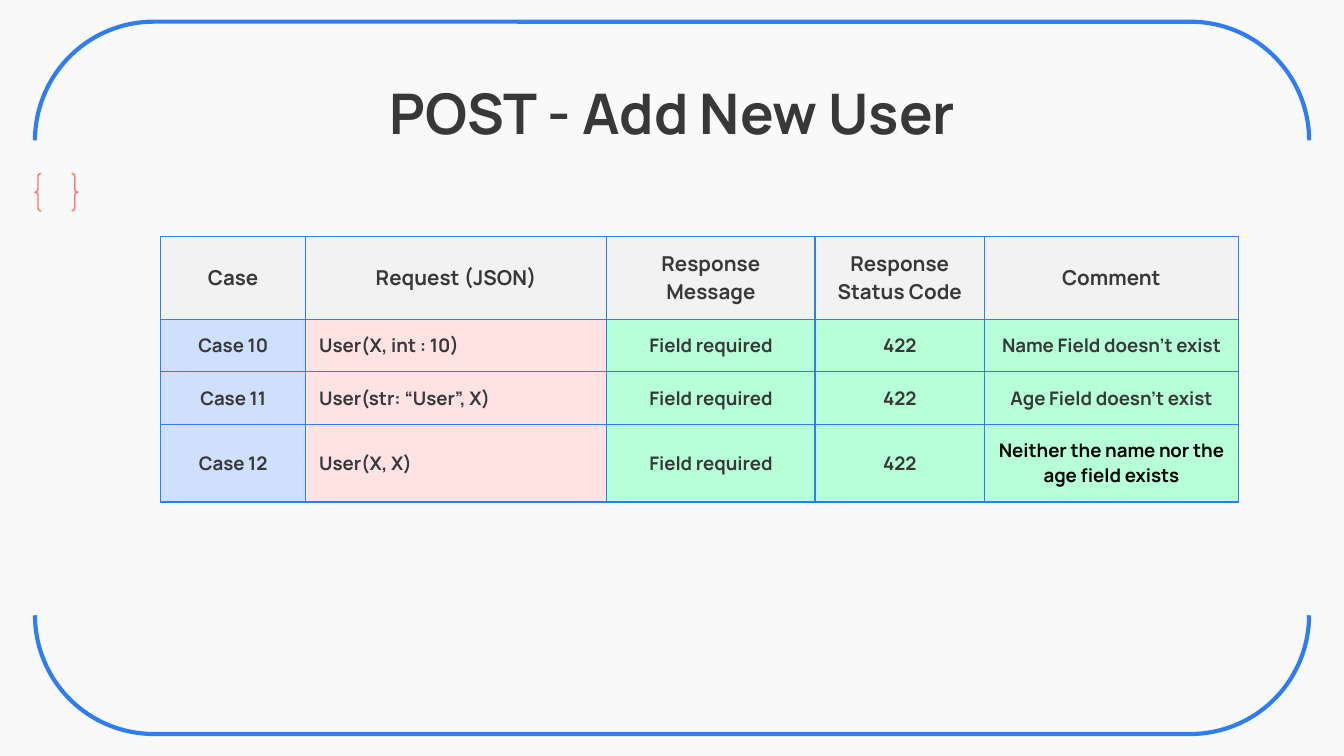
from lxml.etree import SubElement
from pptx import Presentation
from pptx.dml.color import RGBColor
from pptx.enum.shapes import MSO_SHAPE
from pptx.enum.text import MSO_ANCHOR, MSO_AUTO_SIZE, PP_ALIGN
from pptx.oxml.ns import qn
from pptx.util import Inches, Pt

COLUMNS = 100
HEADER = ["Case", "Request (JSON)", "Response Message", "Response Status Code", "Comment"]
CASES = [
    ["Case 10", "User(X, int : 10)", "Field required", "422", "Name Field doesn't exist"],
    ["Case 11", "User(str: “User”, X)", "Field required", "422", "Age Field doesn't exist"],
    ["Case 12", "User(X, X)", "Field required", "422", "Neither the name nor the age field exists"],
]
COL_WIDTHS = [10.8, 22.4, 15.5, 12.6, 18.9]
ROW_HEIGHTS = [6.2, 3.8, 3.8, 5.8]
CASE_FILLS = ["CEE0FC", "FFE3E3"] + ["B7FFD8"] * 3


def rgb(value):
    return RGBColor.from_string(value)


def write(tf, text, size=10, color="383838", bold=True, font="Manrope", align=PP_ALIGN.CENTER):
    p = tf.paragraphs[0]
    p.alignment = align
    r = p.add_run()
    r.text = text
    r.font.name = font
    r.font.size = Pt(size)
    r.font.bold = bold
    r.font.color.rgb = rgb(color)


class Deck:
    blue = "2E7DF4"
    coral = "FF6E6B"
    inset = Inches(0.1)

    def __init__(self):
        self.prs = Presentation()
        self.prs.slide_width = Inches(10)
        self.prs.slide_height = self.prs.slide_width * 9 // 16
        self.unit = self.prs.slide_width // COLUMNS
        self.s = self.prs.slides.add_slide(self.prs.slide_layouts[5])
        fill = self.s.background.fill
        fill.solid()
        fill.fore_color.rgb = rgb("F9F9F9")

    def grid(self, *cells):
        return [round(n * self.unit) for n in cells]

    def outline(self, kind, x, y, w, h, color, weight, rotation=0):
        sp = self.s.shapes.add_shape(kind, *self.grid(x, y, w, h))
        sp.rotation = rotation
        sp.shadow.inherit = False
        sp.fill.background()
        sp.line.color.rgb = rgb(color)
        sp.line.width = Pt(weight)

    def title(self, text, x, y, w, h):
        sp = self.s.shapes.title
        sp.left, sp.top, sp.width, sp.height = self.grid(x, y, w, h)
        tf = sp.text_frame
        tf.auto_size = MSO_AUTO_SIZE.NONE
        tf.vertical_anchor = MSO_ANCHOR.TOP
        tf.margin_left = tf.margin_right = tf.margin_top = tf.margin_bottom = self.inset
        write(tf, text, size=30)

    def cell(self, cell, text, fill, **style):
        cell.fill.solid()
        cell.fill.fore_color.rgb = rgb(fill)
        cell.vertical_anchor = MSO_ANCHOR.MIDDLE
        cell.margin_left = cell.margin_right = cell.margin_top = cell.margin_bottom = self.inset
        write(cell.text_frame, text, **style)
        tc_pr = cell._tc.get_or_add_tcPr()
        for i, side in enumerate(("a:lnL", "a:lnR", "a:lnT", "a:lnB")):
            ln = tc_pr.makeelement(qn(side), {"w": str(Pt(0.75))})
            SubElement(SubElement(ln, qn("a:solidFill")), qn("a:srgbClr"), val=self.blue)
            tc_pr.insert(i, ln)

    def table(self, x, y):
        size = self.grid(x, y, sum(COL_WIDTHS), sum(ROW_HEIGHTS))
        table = self.s.shapes.add_table(len(ROW_HEIGHTS), len(COL_WIDTHS), *size).table
        for column, width in zip(table.columns, self.grid(*COL_WIDTHS)):
            column.width = width
        for row, height in zip(table.rows, self.grid(*ROW_HEIGHTS)):
            row.height = height
        for c, text in enumerate(HEADER):
            self.cell(table.cell(0, c), text, "F2F2F2", size=11)
        for r, case in enumerate(CASES, 1):
            for c, text in enumerate(case):
                align = PP_ALIGN.LEFT if c == 1 else PP_ALIGN.CENTER
                color = "000000" if text.startswith("Neither") else "383838"
                self.cell(table.cell(r, c), text, CASE_FILLS[c], color=color, align=align)


def main():
    deck = Deck()
    deck.outline(MSO_SHAPE.DOUBLE_BRACKET, 23.5, -19.28, 53, 94.8, deck.blue, 2.25, rotation=90)
    deck.outline(MSO_SHAPE.DOUBLE_BRACE, 2.6, 12.9, 3.2, 2.8, deck.coral, 0.75)
    deck.title("POST - Add New User", 7.9, 4.85, 84.3, 6.3)
    deck.table(11.95, 17.57)
    deck.prs.save("out.pptx")


if __name__ == "__main__":
    main()
